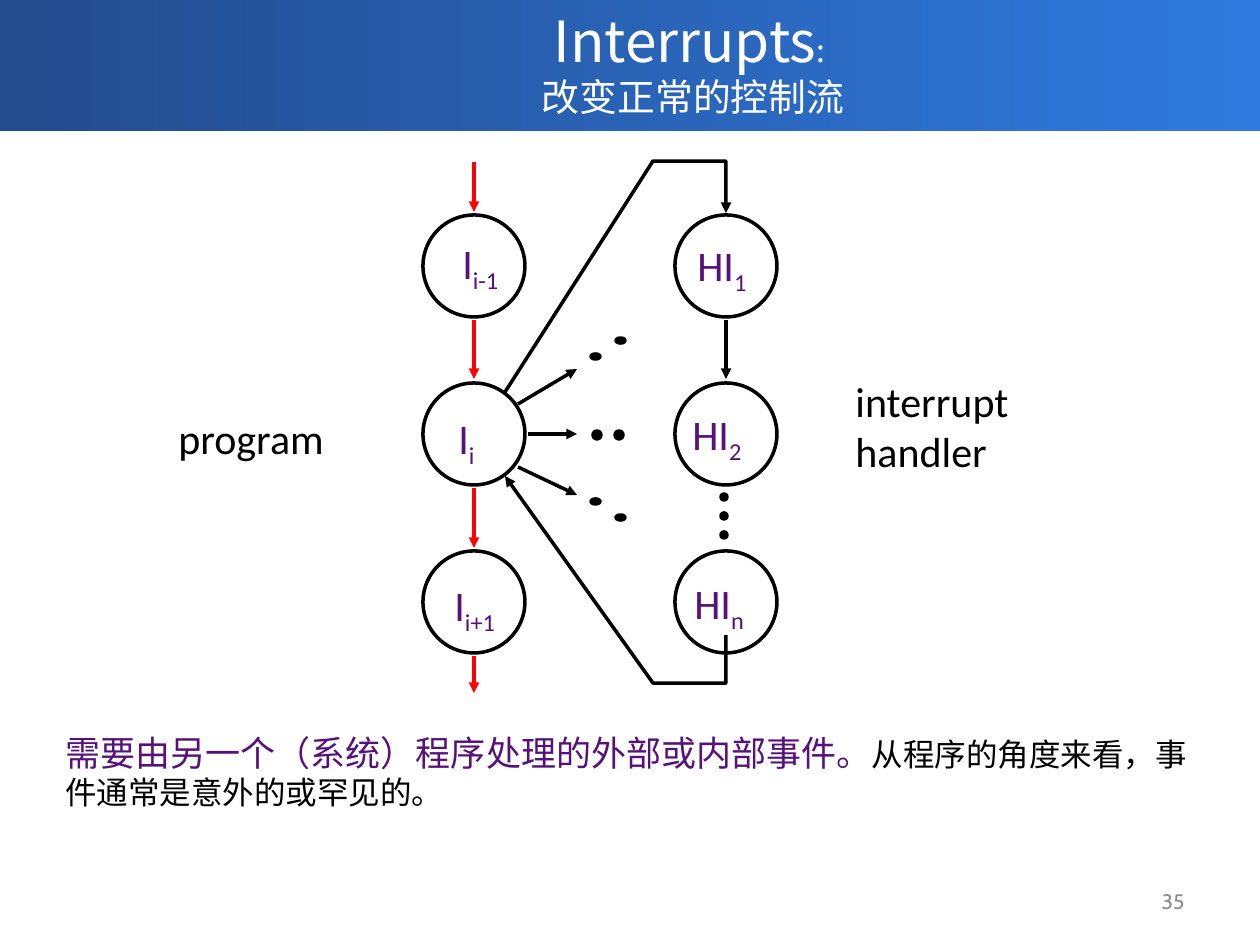
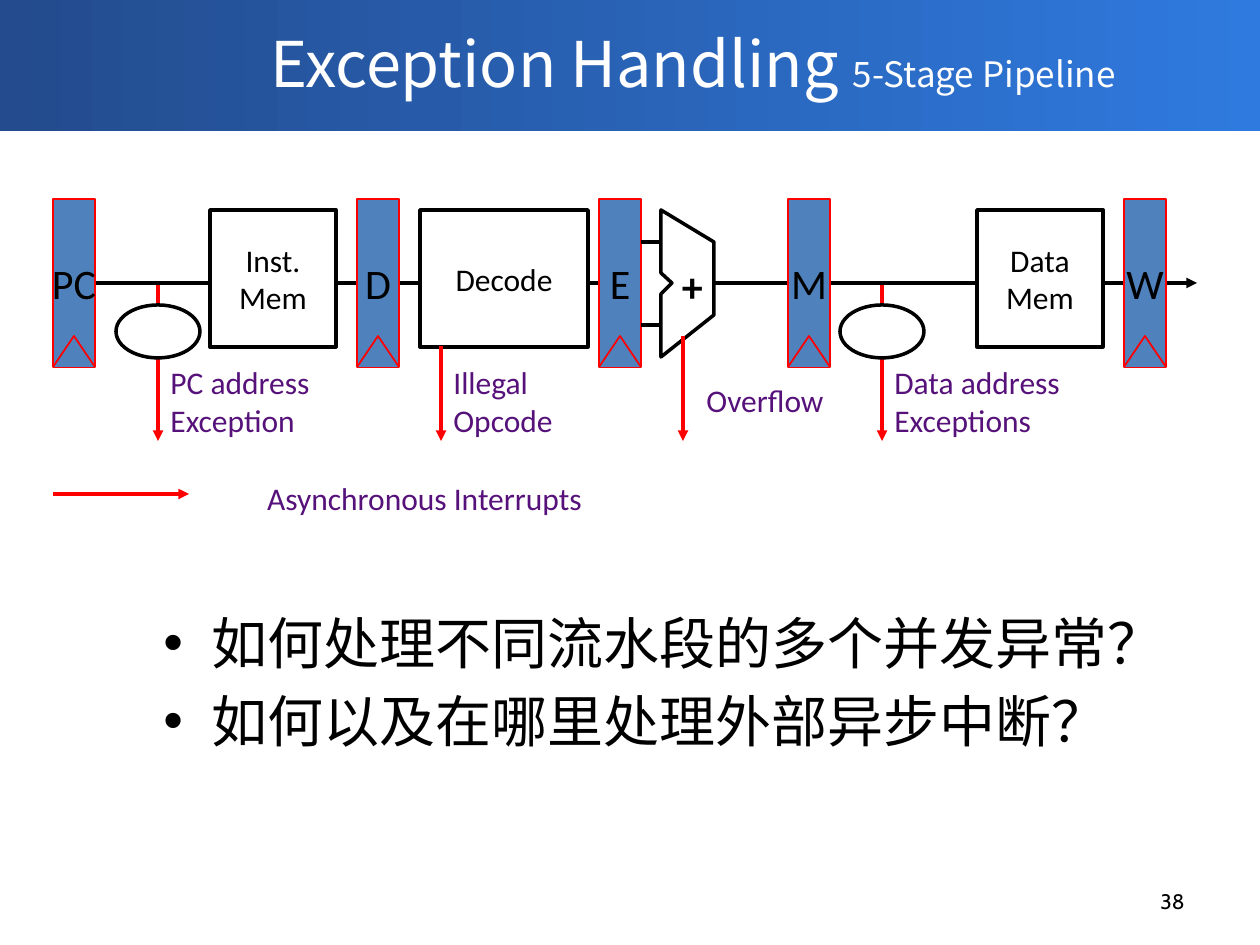
from dataclasses import dataclass
from typing import Any

from lxml import etree
from pptx import Presentation
from pptx import util as u
from pptx.dml.color import RGBColor
from pptx.enum import shapes, text
from pptx.oxml import ns

PX = 914400 / 126
BLACK, WHITE, RED = "000000", "FFFFFF", "FF0000"
PURPLE, STEEL, GREY = "56127A", "4F81BD", "8C8C8C"
BAND_FROM, BAND_TO = "234B8D", "2F7ADF"
TITLE_FONT, BODY_FONT, NOTE_FONT = "Noto Sans CJK SC", "Calibri", "Cabin"
LEFT, CENTER, RIGHT = text.PP_ALIGN.LEFT, text.PP_ALIGN.CENTER, text.PP_ALIGN.RIGHT
TOP, MIDDLE = text.MSO_ANCHOR.TOP, text.MSO_ANCHOR.MIDDLE
RECT, OVAL = shapes.MSO_SHAPE.RECTANGLE, shapes.MSO_SHAPE.OVAL


def px(length):
    return u.Emu(round(length * PX))


def color(value):
    return RGBColor.from_string(value)


def add_span(para, words, size, fill=BLACK, font=BODY_FONT, bold=False, sub=False):
    span = para.add_run()
    span.text = words
    span.font.size = u.Pt(size)
    span.font.bold = bold
    span.font.color.rgb = color(fill)
    span.font.name = font
    props = span.font._element
    if font == TITLE_FONT:
        etree.SubElement(props, ns.qn("a:ea"), typeface=font)
    if sub:
        props.set("baseline", "-25000")


def set_frame(frame, anchor=TOP, wrap=True):
    frame.word_wrap = wrap
    frame.auto_size = text.MSO_AUTO_SIZE.NONE
    frame.vertical_anchor = anchor
    frame.margin_left = frame.margin_right = u.Inches(0.1)
    frame.margin_top = frame.margin_bottom = u.Inches(0.05)


def add_arrowhead(line, end):
    etree.SubElement(line._get_or_add_ln(), ns.qn(f"a:{end}"), type="triangle")


def paint(shape, fill, line, width):
    shape.shadow.inherit = False
    if fill:
        shape.fill.solid()
        shape.fill.fore_color.rgb = color(fill)
    else:
        shape.fill.background()
    shape.line.color.rgb = color(line)
    shape.line.width = u.Pt(width)


@dataclass
class Region:
    """Part of a page; all positions are px from its left top corner."""
    page: Any
    left: int
    top: int

    def box(self, x, y, width, height):
        return px(self.left + x), px(self.top + y), px(width), px(height)

    def shape(self, kind, x, y, width, height, fill=None, line=BLACK, weight=2):
        shape = self.page.shapes.add_shape(kind, *self.box(x, y, width, height))
        paint(shape, fill, line, weight)
        return shape

    def line(self, x1, y1, x2, y2, stroke=BLACK, arrow=True):
        start, end = self.box(x1, y1, 0, 0)[:2], self.box(x2, y2, 0, 0)[:2]
        line = self.page.shapes.add_connector(
            shapes.MSO_CONNECTOR.STRAIGHT, *start, *end)
        line.line.color.rgb = color(stroke)
        line.line.width = u.Pt(2)
        if arrow:
            add_arrowhead(line.line, "tailEnd")
        etree.SubElement(line._element.spPr, ns.qn("a:effectLst"))

    def outline(self, points, fill=None, line=BLACK, weight=2, close=False, arrow=None):
        builder = self.page.shapes.build_freeform(*points[0], scale=PX)
        builder.add_line_segments(points[1:], close=close)
        shape = builder.convert_to_shape(px(self.left), px(self.top))
        paint(shape, fill, line, weight)
        if arrow:
            add_arrowhead(shape.line, arrow)

    def label(self, x, y, width, height, words, size=24, fill=BLACK, align=LEFT,
              anchor=TOP, wrap=True, sub="", **style):
        frame = self.page.shapes.add_textbox(*self.box(x, y, width, height)).text_frame
        set_frame(frame, anchor, wrap)
        for index, row in enumerate(words.split("\n")):
            para = frame.paragraphs[0] if index == 0 else frame.add_paragraph()
            para.alignment = align
            add_span(para, row, size, fill, **style)
        if sub:
            add_span(para, sub, size, fill, sub=True, **style)
        return frame


# Shared by both pages

def add_band(deck, page):
    """Put the gradient title band on the master, behind everything."""
    band = page.shapes.add_shape(RECT, *Region(page, 0, 0).box(0, 0, 1260, 131))
    band.shadow.inherit = False
    band.line.fill.background()
    band.fill.gradient()
    band.fill.gradient_angle = 0
    for stop, value in zip(band.fill.gradient_stops, (BAND_FROM, BAND_TO)):
        stop.color.rgb = color(value)
    band.element.nvSpPr.cNvPr.set("id", "99")
    deck.slide_master.shapes.element.insert(2, band.element)


def add_page(deck, title_rows, number, number_color):
    page = deck.slides.add_slide(deck.slide_layouts[5])
    title = page.shapes.title
    title.left, title.top, title.width, title.height = Region(page, 0, 0).box(
        126, 0, 1134, 125)
    set_frame(title.text_frame, MIDDLE)
    para = title.text_frame.paragraphs[0]
    para.alignment = CENTER
    for index, row in enumerate(title_rows):
        if index:
            para.add_line_break()
        for words, size in row:
            add_span(para, words, size, WHITE, TITLE_FONT)
    Region(page, 903, 876).label(0, 0, 294, 50, number, 12, number_color,
                                 RIGHT, MIDDLE, font=NOTE_FONT)
    return page


# Interrupt page

def draw_control_flow(page, left, top):
    flow = Region(page, left, top)
    size, pitch, handler_x = 102, 168, 252
    program_axis, handler_axis = size // 2, handler_x + size // 2

    # Detour to the handler and back
    flow.outline([(82, 316), (230, 523), (handler_axis, 523), (handler_axis, 475)],
                 arrow="headEnd")
    flow.outline([(82, 232), (230, 1), (handler_axis, 1), (handler_axis, 53)],
                 arrow="tailEnd")

    # Instructions of the program and of the handler
    for row in range(3):
        for x in (0, handler_x):
            flow.shape(OVAL, x, 55 + row * pitch, size, size)
    for x, y, width, name, sub in (
            (27, 71, 66, "I", "i-1"), (23, 246, 43, "I", "i"), (19, 413, 71, "I", "i+1"),
            (262, 73, 77, "HI", "1"), (257, 242, 77, "HI", "2"), (259, 411, 77, "HI", "n")):
        flow.label(x, y, width, 63, name, fill=PURPLE, wrap=False, sub=sub)

    # Steps between instructions
    for y1, y2 in ((2, 52), (160, 219), (328, 388), (496, 533)):
        flow.line(program_axis, y1, program_axis, y2, RED)
    flow.line(handler_axis, 160, handler_axis, 219)

    # Other possible handlers
    for x, y1, y2 in ((95, 244, 209), (105, 274, 274), (95, 307, 335)):
        flow.line(x, y1, 154, y2)
    dots = [(168, 339, 9, 5), (193, 355, 9, 5), (168, 194, 9, 5), (193, 178, 9, 5),
            (170, 271, 8, 8), (192, 271, 8, 8)]
    dots += [(298, 334 + 19 * step, 6, 6) for step in range(3)]
    for dot in dots:
        flow.shape(OVAL, *dot, fill=BLACK)

    # Column names
    flow.label(-257, 246, 174, 63, "program", wrap=False)
    flow.label(420, 209, 180, 115, "interrupt\nhandler", wrap=False)


def draw_definition(page, left, top):
    frame = Region(page, left, top).label(
        0, 0, 1155, 93, "需要由另一个（系统）程序处理的外部或内部事件。", 20, PURPLE)
    add_span(frame.paragraphs[0], "从程序的角度来看，事件通常是意外的或罕见的。",
             18, font=NOTE_FONT)


# Exception page

def fill_block(shape, words, size, wrap):
    set_frame(shape.text_frame, MIDDLE, wrap)
    para = shape.text_frame.paragraphs[0]
    para.alignment = CENTER
    add_span(para, words, size)


def draw_pipeline(page, left, top):
    pipe = Region(page, left, top)
    wire_y, arrow_end = 84, 242
    checks = (105, 829)

    # Wires and address exceptions behind the stages
    for x in checks:
        pipe.line(x, wire_y, x, arrow_end, RED)
    pipe.line(661, wire_y, 1144, wire_y)
    pipe.line(20, wire_y, 546, wire_y, arrow=False)

    # Pipeline registers with clock marks
    for x, name in ((0, "PC"), (304, "D"), (546, "E"), (735, "M"), (1071, "W")):
        fill_block(pipe.shape(RECT, x, 0, 42, 168, STEEL, RED, 1), name, 24, False)
        pipe.outline([(x, 168), (x + 21, 137), (x + 42, 168)], STEEL, RED, 1)

    # Memories and decoder
    for x, width, name in ((157, 126, "Inst. Mem"), (367, 168, "Decode"),
                           (924, 126, "Data Mem")):
        fill_block(pipe.shape(RECT, x, 11, width, 137, WHITE), name, 18, True)

    # Adder
    pipe.outline([(608, 11), (608, 74), (619, 84), (608, 95), (608, 158),
                  (661, 116), (661, 43)], WHITE, close=True)
    for y in (43, 126):
        pipe.line(588, y, 608, y, arrow=False)
    pipe.label(620, 63, 39, 47, "+", align=CENTER, anchor=MIDDLE, wrap=False, bold=True)

    # Address checks
    for x in checks:
        pipe.shape(OVAL, x - 42, 106, 84, 53, WHITE)

    # Exception names
    for x, width, words in ((105, 222, "PC address Exception"),
                            (388, 168, "Illegal Opcode"),
                            (829, 252, "Data address Exceptions")):
        pipe.label(x, 158, width, 88, words, 18, PURPLE, anchor=MIDDLE)
    pipe.label(640, 176, 144, 50, "Overflow", 18, PURPLE, CENTER, MIDDLE, False)
    for x, y in ((388, 147), (630, 137)):
        pipe.line(x, y, x, arrow_end, RED)

    # Asynchronous interrupts
    pipe.line(0, 295, 136, 295, RED)
    pipe.label(146, 274, 451, 50, "Asynchronous Interrupts", 18, PURPLE, CENTER)


def draw_questions(page, left, top):
    frame = Region(page, left, top).label(
        0, 0, 1014, 252, "如何处理不同流水段的多个并发异常？\n如何以及在哪里处理外部异步中断？",
        32, font=NOTE_FONT)
    for para in frame.paragraphs:
        para.space_before = u.Pt(6.4)
        props = para._p.get_or_add_pPr()
        props.set("marL", str(px(48)))
        props.set("indent", str(-px(48)))
        etree.SubElement(props, ns.qn("a:buFont"), typeface="Arial")
        etree.SubElement(props, ns.qn("a:buChar"), char="•")


def main():
    deck = Presentation()
    deck.slide_width, deck.slide_height = u.Inches(10), u.Inches(7.5)

    interrupts = add_page(deck, [[("Interrupts", 32.4), (": ", 18)],
                                 [("改变正常的控制流", 21.6)]], "35", GREY)
    add_band(deck, interrupts)
    draw_control_flow(interrupts, 423, 160)
    draw_definition(interrupts, 53, 725)

    exceptions = add_page(deck, [[("Exception Handling ", 36), ("5-Stage Pipeline", 20)]],
                          "38", BLACK)
    draw_pipeline(exceptions, 53, 199)
    draw_questions(exceptions, 151, 602)

    deck.save("out.pptx")


if __name__ == "__main__":
    main()
